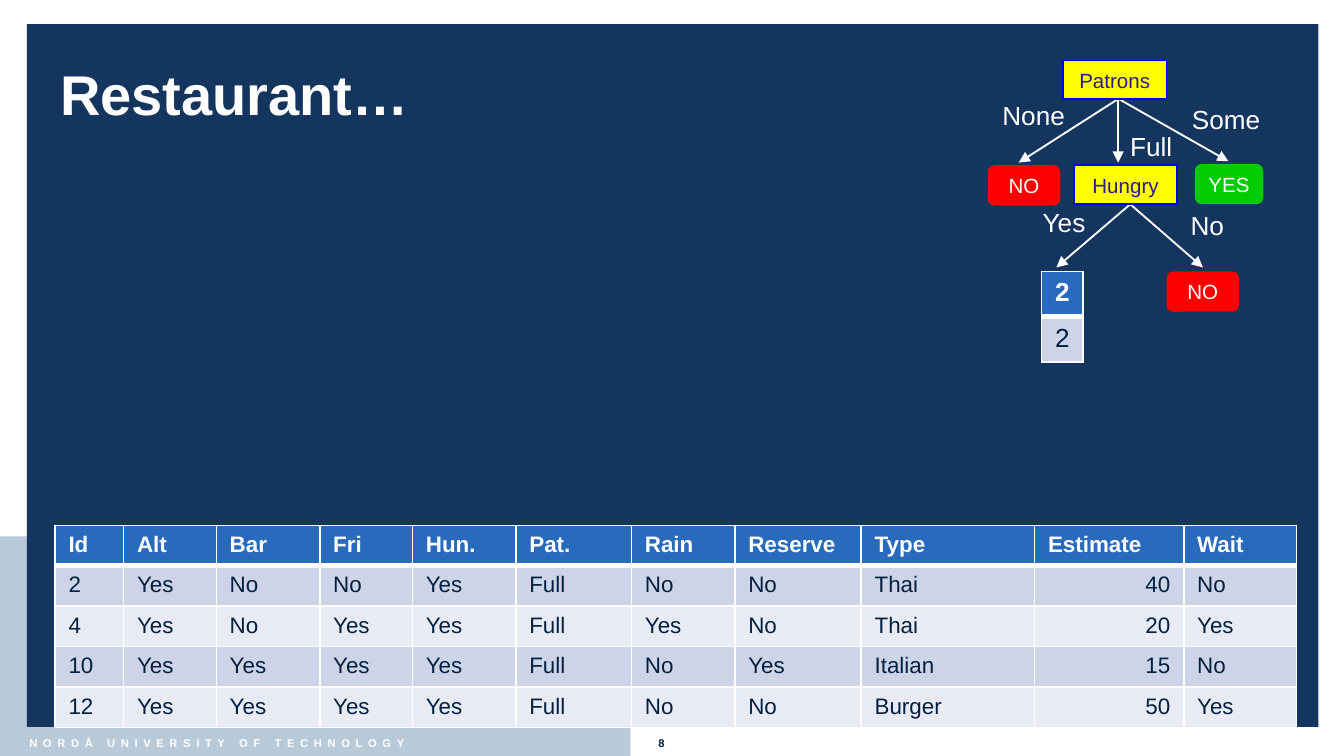
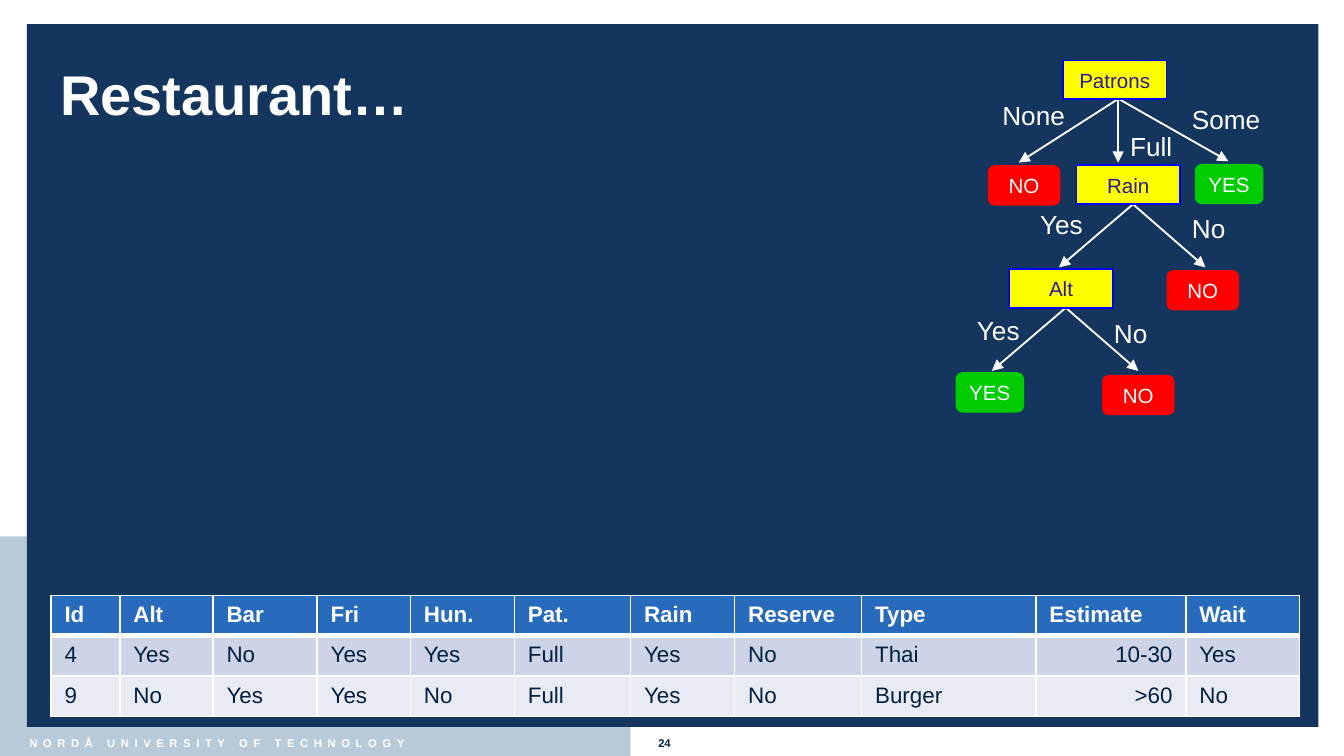
from pptx import Presentation
from pptx.dml.color import RGBColor as Rgb
from pptx.enum.shapes import MSO_CONNECTOR as Wire, MSO_SHAPE as Geo
from pptx.enum.text import MSO_ANCHOR as Anchor, PP_ALIGN as Align
from pptx.oxml.ns import qn
from pptx.util import Inches, Pt
from lxml.etree import SubElement as Sub

HUES = {
    "white": "FFFFFF", "mist": "B8C9D7", "navy": "14355E", "ink": "032040",
    "head": "286BBD", "odd": "CDD4E8", "even": "E8EBF4", "yellow": "FFFF00",
    "blue": "0000FF", "violet": "2D1993", "green": "00CC00", "red": "FF0000",
}
HUE = {name: Rgb.from_string(code) for name, code in HUES.items()}

deck = Presentation()
deck.slide_width, deck.slide_height = Inches(10), Inches(5.625)
UNIT = deck.slide_width / 100
TALL = deck.slide_height / UNIT


def box(slide, spot, text="", size=14, hue="white", bold=False,
        geo=None, fill=None, line=None, mid=False):
    area = [round(v * UNIT) for v in spot]
    if geo is None:
        item = slide.shapes.add_textbox(*area)
    else:
        item = slide.shapes.add_shape(geo, *area)
        item.shadow.inherit = False
        item.fill.solid()
        item.fill.fore_color.rgb = HUE[fill]
        if line:
            item.line.color.rgb = HUE[line]
            item.line.width = Pt(1)
        else:
            item.line.fill.background()
    frame = item.text_frame
    frame.word_wrap = False
    frame.vertical_anchor = Anchor.MIDDLE if mid else Anchor.TOP
    if text:
        frame.text = text
        para = frame.paragraphs[0]
        para.alignment = Align.CENTER if geo else Align.LEFT
        font = para.runs[0].font
        font.name, font.size, font.bold = "Arial", Pt(size), bold
        font.color.rgb = HUE[hue]
    return item


def grid(slide, left, top, cols, high, rows, size):
    area = [round(v * UNIT) for v in (left, top, sum(cols), high * len(rows))]
    table = slide.shapes.add_table(len(rows), len(cols), *area).table
    for col, wide in zip(table.columns, cols):
        col.width = round(wide * UNIT)
    for r, row in enumerate(rows):
        table.rows[r].height = round(high * UNIT)
        for c, text in enumerate(row):
            cell = table.cell(r, c)
            cell.text = text
            para = cell.text_frame.paragraphs[0]
            if r and c == 9:
                para.alignment = Align.RIGHT
            font = para.runs[0].font
            font.name, font.size, font.bold = "Arial", Pt(size), r == 0
            font.color.rgb = HUE["ink" if r else "white"]
            props = cell._tc.get_or_add_tcPr()
            for side in "LRTB":
                thick = (r, side) in ((0, "B"), (1, "T"))
                edge = Sub(props, qn("a:ln" + side), w=str(Pt(3 if thick else 1)))
                Sub(Sub(edge, qn("a:solidFill")), qn("a:srgbClr"), val=HUES["white"])
            cell.fill.solid()
            cell.fill.fore_color.rgb = HUE[("even", "odd")[r % 2] if r else "head"]


COLS = [5.1, 6.9, 7.7, 6.9, 7.7, 8.6, 7.7, 9.4, 12.9, 11.1, 8.4]
HEAD = "Id Alt Bar Fri Hun. Pat. Rain Reserve Type Estimate Wait"
BANDS = [
    ((0, 0, 100, TALL), "white"),
    ((0, 39.9, 46.9, TALL - 39.9), "mist"),
    ((2, 1.8, 96.1, 52.3), "navy"),
]
ROOT = ("Patrons", 79.1, 4.5)
FANS = [(83.2, 7.4, 83.2, 12.1), (83.3, 7.3, 75.8, 12.1), (83.3, 7.4, 91.4, 12)]
TAGS = [("Some", 87.7, 7.2), ("Full", 83.1, 9.2), ("None", 73.6, 6.9)]
ENDS = [("YES", 88.9, 12.2), ("NO", 73.5, 12.3)]
BADGE = {"YES": (5.1, "green"), "NO": (5.4, "red")}
WIDE = {"Some": 7.1, "Full": 5.2, "None": 6.7, "Yes": 5.2, "No": 4.5}

PAGES = [
    {
        "num": "8", "left": 4.1, "top": 39.1, "wide": 92.4,
        "nodes": [("Hungry", 79.9, 12.3)],
        "tags": [("Yes", 76.6, 14.9), ("No", 87.6, 15.1)],
        "ends": [("NO", 86.8, 20.2)],
        "rows": [
            "2 Yes No No Yes Full No No Thai 40 No",
            "4 Yes No Yes Yes Full Yes No Thai 20 Yes",
            "10 Yes Yes Yes Yes Full No Yes Italian 15 No",
            "12 Yes Yes Yes Yes Full No No Burger 50 Yes",
        ],
        "count": [["2"], ["2"]],
    },
    {
        "num": "24", "left": 3.8, "top": 44.3, "wide": 92.9,
        "nodes": [("Rain", 80.1, 12.3), ("Alt", 75.1, 20)],
        "tags": [("Yes", 76.4, 15), ("No", 87.7, 15.3),
                 ("Yes", 71.7, 22.9), ("No", 81.9, 23.1)],
        "ends": [("NO", 86.8, 20.1), ("NO", 82, 27.9), ("YES", 71.1, 27.7)],
        "rows": [
            "4 Yes No Yes Yes Full Yes No Thai 10-30 Yes",
            "9 No Yes Yes No Full Yes No Burger >60 No",
        ],
        "count": [],
    },
]

for page in PAGES:
    slide = deck.slides.add_slide(deck.slide_layouts[6])
    for spot, fill in BANDS:
        box(slide, spot, geo=Geo.RECTANGLE, fill=fill)
    foot = box(slide, (1.2, 54.3, 40, 1.9), "NORDÅ UNIVERSITY OF TECHNOLOGY", 6, bold=True)
    foot.text_frame.paragraphs[0].runs[0].font._element.set("spc", "300")
    box(slide, (48, 54.3, 4, 1.9), page["num"], 6, "ink", True)
    box(slide, (3.5, 2, 92.9, 9.9), "Restaurant…", 30, bold=True, mid=True)

    cols = [c * page["wide"] / sum(COLS) for c in COLS]
    rows = [row.split() for row in [HEAD] + page["rows"]]
    grid(slide, page["left"], page["top"], cols, 2.88, rows, 12)

    links = list(FANS)
    for name, x, y in page["nodes"]:
        links += [(x + 4.2, y + 2.9, x + dx, y + 7.6) for dx in (-1.3, 9.6)]
    for ends in links:
        wire = slide.shapes.add_connector(Wire.STRAIGHT, *[round(v * UNIT) for v in ends])
        wire.line.color.rgb = HUE["white"]
        wire.line.width = Pt(1)
        Sub(wire.line._get_or_add_ln(), qn("a:tailEnd"), type="triangle")
        Sub(wire._element.spPr, qn("a:effectLst"))

    for name, x, y in [ROOT] + page["nodes"]:
        box(slide, (x, y, 7.7, 2.9), name, 11, "violet",
            geo=Geo.RECTANGLE, fill="yellow", line="blue", mid=True)
    for name, x, y in TAGS + page["tags"]:
        box(slide, (x, y, WIDE[name], 3.4), name)
    for name, x, y in ENDS + page["ends"]:
        wide, fill = BADGE[name]
        box(slide, (x, y, wide, 3), name, 11,
            geo=Geo.ROUNDED_RECTANGLE, fill=fill, mid=True)
    if page["count"]:
        grid(slide, 77.5, 20.2, [3.1], 3.36, page["count"], 14)

deck.save("out.pptx")
